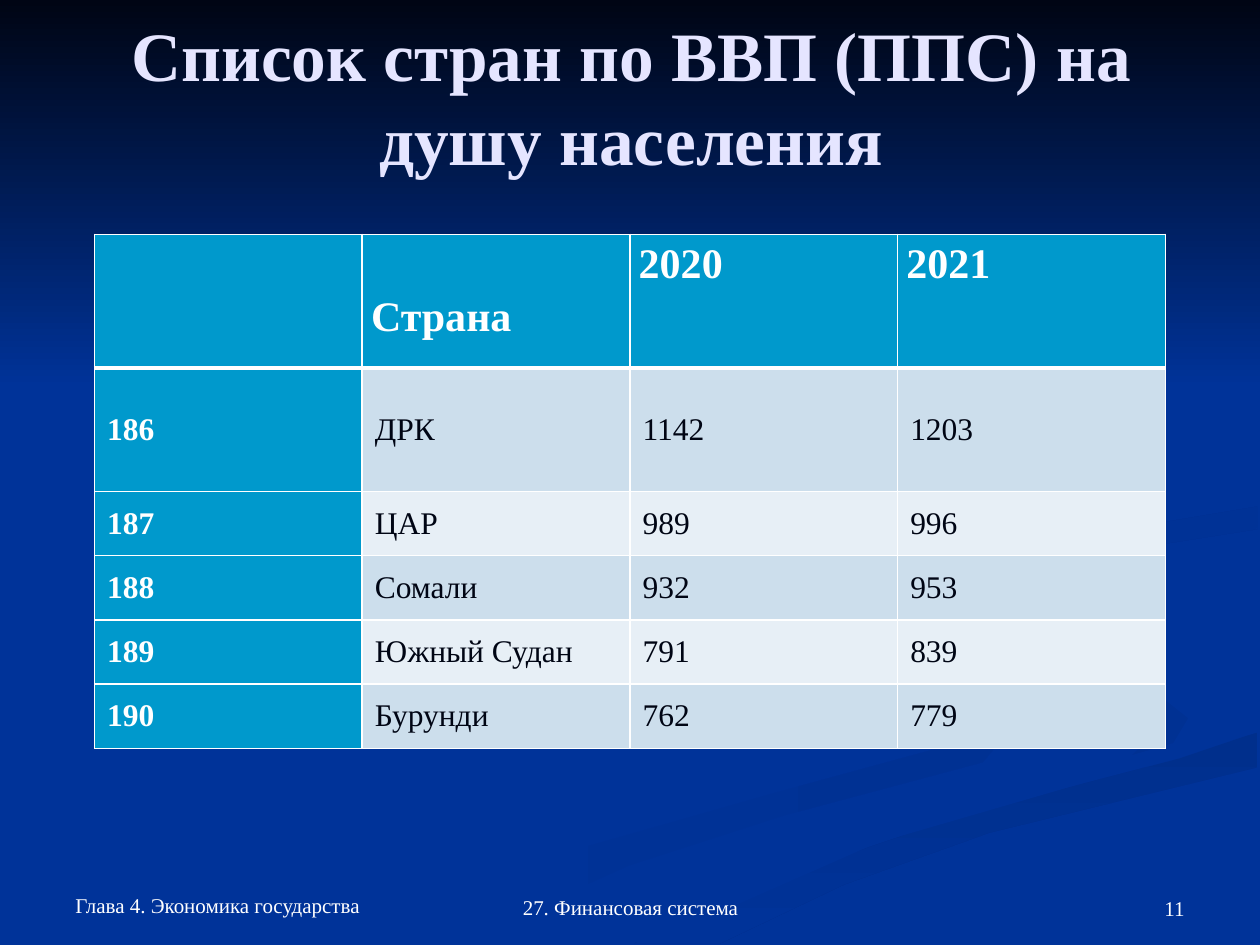
from lxml.etree import SubElement
from pptx import Presentation
from pptx.dml.color import RGBColor
from pptx.enum.shapes import MSO_SHAPE
from pptx.enum.text import MSO_ANCHOR, PP_ALIGN
from pptx.oxml.ns import qn
from pptx.util import Pt

PX = 9144  # EMU per px, 100 px to the inch
FONT = "Times New Roman"
WHITE, NAVY, BLUE, CYAN = "FFFFFF", "000514", "003399", "0099CC"
BANDS = ("CCDEEC", "E7EFF6")

TITLE = "Список стран по ВВП (ППС) на душу населения"
ROWS = [
    ("", "Страна", "2020", "2021"),
    ("186", "ДРК", "1142", "1203"),
    ("187", "ЦАР", "989", "996"),
    ("188", "Сомали", "932", "953"),
    ("189", "Южный Судан", "791", "839"),
    ("190", "Бурунди", "762", "779"),
]
ROW_HEIGHTS = [106, 98] + [51] * 4
TABLE_BOX = (75, 186, 850, sum(ROW_HEIGHTS))

FOOTERS = [
    ("Глава 4. Экономика государства", (50, 708, 325, 25), PP_ALIGN.LEFT),
    ("11", (717, 717, 233, 19), PP_ALIGN.RIGHT),
    ("27. Финансовая система", (342, 708, 317, 27), PP_ALIGN.CENTER),
]

# Background ribbons: start colour, end colour, clockwise angle, outline
RIBBONS = [
    (BLUE, "003193", 0, [
        (781, 553), (575, 459), (785, 562), (759, 590), (616, 629), (458, 674),
        (300, 749), (361, 749), (499, 687), (623, 647), (780, 605), (800, 581)]),
    (BLUE, "003193", 45, [
        (943, 570), (930, 553), (870, 530), (724, 464), (838, 535), (907, 562),
        (918, 581), (894, 604), (932, 589)]),
    ("002F8C", BLUE, 90, [
        (503, 749), (571, 749), (670, 702), (785, 661), (998, 609), (998, 581),
        (936, 602), (764, 647), (630, 693)]),
    (BLUE, BLUE, 0, [
        (725, 464), (905, 540), (943, 570), (931, 590), (743, 643), (573, 703),
        (477, 749), (519, 747), (696, 669), (999, 581), (999, 538), (782, 460),
        (999, 402), (999, 387)]),
    ("003091", BLUE, 45, [
        (781, 460), (826, 496), (805, 472), (878, 439), (998, 420), (998, 402),
        (849, 427)]),
]


def rgb(color):
    return RGBColor.from_string(color)


def emu(*lengths):
    return [round(n * PX) for n in lengths]


def write(tf, text, size=12, color=WHITE, bold=False, align=None,
          anchor=MSO_ANCHOR.MIDDLE):
    tf.vertical_anchor = anchor
    p = tf.paragraphs[0]
    p.alignment = align
    r = p.add_run()
    r.text = text
    r.font.name, r.font.size, r.font.bold = FONT, Pt(size), bold
    r.font.color.rgb = rgb(color)
    return p


def paint(sp, start, end, angle):
    sp.shadow.inherit = False
    sp.line.fill.background()
    if start == end:
        sp.fill.solid()
        sp.fill.fore_color.rgb = rgb(start)
        return
    sp.fill.gradient()
    sp.fill.gradient_angle = -angle % 360
    for stop, color, position in zip(sp.fill.gradient_stops, (start, end), (0, 1)):
        stop.color.rgb = rgb(color)
        stop.position = position


def set_borders(cell, bottom):
    tcPr = cell._tc.get_or_add_tcPr()
    for side, width in (("L", 1), ("R", 1), ("T", 1), ("B", bottom)):
        ln = SubElement(tcPr, qn(f"a:ln{side}"), w=str(int(Pt(width))))
        SubElement(SubElement(ln, qn("a:solidFill")), qn("a:srgbClr"), val=WHITE)


def add_background(s):
    s.background.fill.solid()
    s.background.fill.fore_color.rgb = rgb(BLUE)
    for start, end, angle, points in RIBBONS:
        fb = s.shapes.build_freeform(*points[0], scale=PX)
        fb.add_line_segments(points[1:], close=True)
        paint(fb.convert_to_shape(), start, end, angle)
    sky = s.shapes.add_shape(MSO_SHAPE.RECTANGLE, *emu(0, 0, 1000, 308))
    paint(sky, NAVY, BLUE, 90)


def add_ranking(s):
    table = s.shapes.add_table(len(ROWS), len(ROWS[0]), *emu(*TABLE_BOX)).table
    for row, height in zip(table.rows, ROW_HEIGHTS):
        row.height = height * PX
    for i, values in enumerate(ROWS):
        for j, text in enumerate(values):
            cell = table.cell(i, j)
            head = i == 0 or j == 0
            set_borders(cell, 3 if i == 0 else 1)
            cell.fill.solid()
            cell.fill.fore_color.rgb = rgb(CYAN if head else BANDS[(i - 1) % 2])
            if not text:
                continue
            p = write(cell.text_frame, text, 18 if i else 24,
                      WHITE if head else NAVY, head)
            cell.vertical_anchor = MSO_ANCHOR.MIDDLE if i else MSO_ANCHOR.TOP
            if i == 0:
                p.line_spacing, p.space_after = 1.15, Pt(10)
                cell.margin_left = cell.margin_right = 7 * PX
                cell.margin_top = 42 * PX if j == 1 else 0
                cell.margin_bottom = 0


def main():
    prs = Presentation()
    prs.slide_width, prs.slide_height = emu(1000, 750)
    s = prs.slides.add_slide(prs.slide_layouts[5])
    add_background(s)
    for text, box, align in FOOTERS:
        tf = s.shapes.add_textbox(*emu(*box)).text_frame
        tf.word_wrap = True
        write(tf, text, align=align, anchor=MSO_ANCHOR.BOTTOM)
    add_ranking(s)

    title = s.shapes.title
    title.left, title.top, title.width, title.height = emu(51, 44, 900, 125)
    title.text_frame.margin_bottom = 66 * PX
    write(title.text_frame, TITLE, 39.6, "E5E5FF", True, PP_ALIGN.CENTER)
    s.shapes._spTree.append(title._element)  # in front of the background
    prs.save("out.pptx")


if __name__ == "__main__":
    main()
